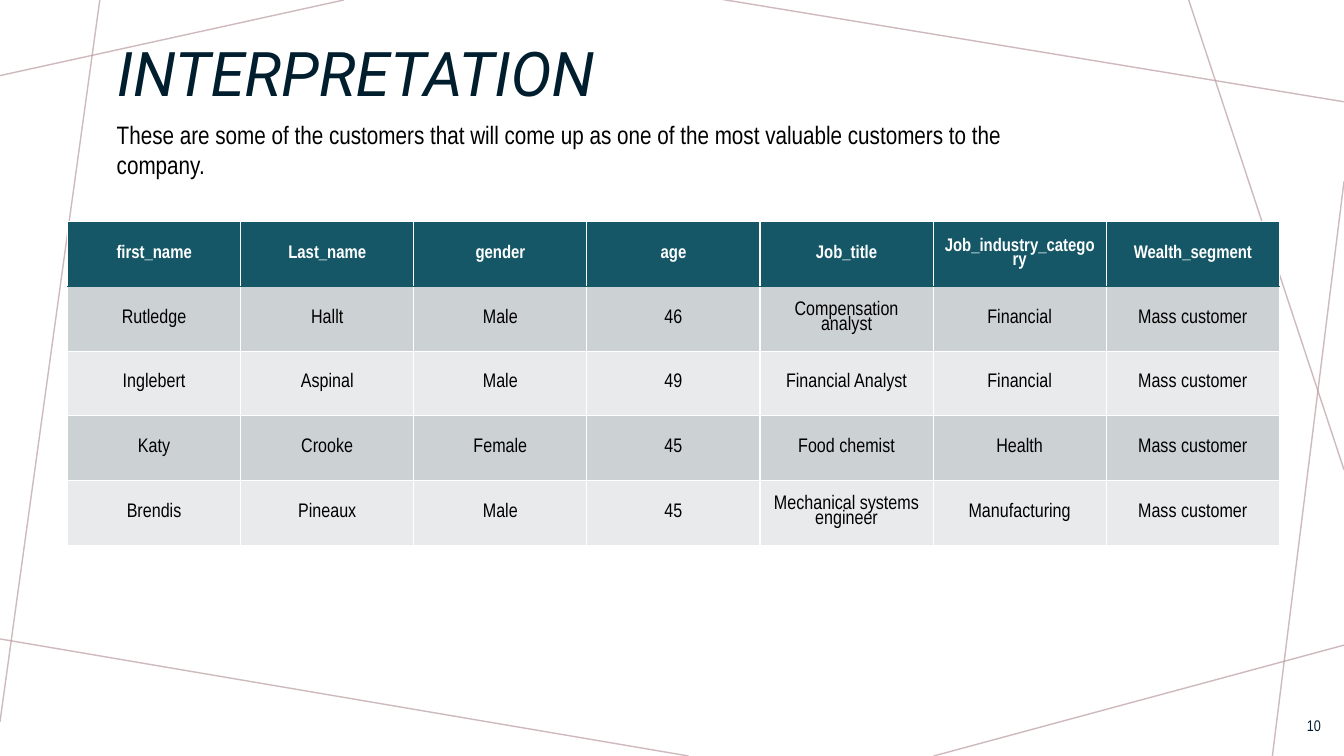
import pptx
import pptx.util
import pptx.dml.color
import pptx.enum.shapes
import pptx.enum.text
import pptx.oxml.ns
import lxml.etree

Inches = pptx.util.Inches
Pt = pptx.util.Pt
RGBColor = pptx.dml.color.RGBColor
ALIGN = pptx.enum.text.PP_ALIGN
ANCHOR = pptx.enum.text.MSO_ANCHOR
qn = pptx.oxml.ns.qn

NAVY = RGBColor(0x00, 0x1E, 0x2E)
TEAL = RGBColor(0x15, 0x57, 0x67)
MAUVE = RGBColor(0xBA, 0x9C, 0xA0)
DARK_BAND = RGBColor(0xCC, 0xD1, 0xD3)
LIGHT_BAND = RGBColor(0xE8, 0xEA, 0xEB)
WHITE = RGBColor(0xFF, 0xFF, 0xFF)
BLACK = RGBColor(0x00, 0x00, 0x00)


def write(frame, text, size, color, font="Arial Narrow", align=ALIGN.LEFT):
    frame.word_wrap = True
    para = frame.paragraphs[0]
    para.alignment = align
    span = para.add_run()
    span.text = text
    span.font.size = Pt(size)
    span.font.name = font
    span.font.color.rgb = color
    return para, span


def add_border(cell, side, color, width):
    props = cell._tc.get_or_add_tcPr()
    line = lxml.etree.SubElement(props, qn("a:" + side), w=str(Pt(width)))
    fill = lxml.etree.SubElement(line, qn("a:solidFill"))
    lxml.etree.SubElement(fill, qn("a:srgbClr"), val=str(color))


deck = pptx.Presentation()
deck.slide_width = Inches(13.33)
deck.slide_height = Inches(7.5)
page = deck.slides.add_slide(deck.slide_layouts[5])

background_lines = [
    (3.41, 0, 0, 0.75),
    (0.99, 0, 0, 7.16),
    (6.83, 7.5, -0.05, 6.33),
    (13.33, 6.4, 9.26, 7.5),
    (13.33, 1.8, 12.62, 7.5),
    (13.33, 4.66, 11.79, 0),
    (13.33, 1.01, 7.14, -0.01),
]
for ends in background_lines:
    line = page.shapes.add_connector(
        pptx.enum.shapes.MSO_CONNECTOR.STRAIGHT, *[Inches(value) for value in ends])
    line.line.color.rgb = MAUVE
    line.line.width = Pt(1)
    color = line.element.spPr.find(".//" + qn("a:srgbClr"))
    lxml.etree.SubElement(color, qn("a:alpha"), val="70000")
    lxml.etree.SubElement(line.element.spPr, qn("a:effectLst"))

title = page.shapes.title
page.shapes.element.append(title.element)
title.left, title.top = Inches(1.06), Inches(0)
title.width, title.height = Inches(5.73), Inches(1.51)
title.text_frame.auto_size = pptx.enum.text.MSO_AUTO_SIZE.NONE
title.text_frame.vertical_anchor = ANCHOR.MIDDLE
para, span = write(title.text_frame, "INTERPRETATION", 44, NAVY, "Roboto")
para.line_spacing = 0.9
span.font.italic = True

customers = [
    ["first_name", "Last_name", "gender", "age", "Job_title",
     "Job_industry_category", "Wealth_segment"],
    ["Rutledge", "Hallt", "Male", "46", "Compensation analyst",
     "Financial", "Mass customer"],
    ["Inglebert", "Aspinal", "Male", "49", "Financial Analyst",
     "Financial", "Mass customer"],
    ["Katy", "Crooke", "Female", "45", "Food chemist",
     "Health", "Mass customer"],
    ["Brendis", "Pineaux", "Male", "45", "Mechanical systems engineer",
     "Manufacturing", "Mass customer"],
]
table = page.shapes.add_table(
    len(customers), len(customers[0]),
    Inches(0.67), Inches(2.2), Inches(12.02), Inches(3.21)).table
for row, values in enumerate(customers):
    header = row == 0
    band = TEAL if header else DARK_BAND if row % 2 else LIGHT_BAND
    for column, value in enumerate(values):
        cell = table.cell(row, column)
        cell.vertical_anchor = ANCHOR.MIDDLE
        para, span = write(cell.text_frame, value, 13 if header else 14,
                           WHITE if header else BLACK, align=ALIGN.CENTER)
        para.line_spacing = 0.8
        span.font.bold = header
        add_border(cell, "lnL", WHITE, 1)
        add_border(cell, "lnR", WHITE, 1)
        add_border(cell, "lnT", *((TEAL, 0.75) if row == 1 else (WHITE, 1)))
        add_border(cell, "lnB", *((TEAL, 0.75) if header else (WHITE, 1)))
        cell.fill.solid()
        cell.fill.fore_color.rgb = band

number = page.shapes.add_textbox(Inches(12.69), Inches(7), Inches(0.51), Inches(0.4))
number.text_frame.vertical_anchor = ANCHOR.MIDDLE
write(number.text_frame, "10", 11, NAVY, align=ALIGN.RIGHT)

intro = page.shapes.add_textbox(Inches(1.06), Inches(1.13), Inches(9.73), Inches(0.71))
intro.text_frame.auto_size = pptx.enum.text.MSO_AUTO_SIZE.SHAPE_TO_FIT_TEXT
write(intro.text_frame,
      "These are some of the customers that will come up as one of the most "
      "valuable customers to the company.", 18, BLACK)

deck.save("out.pptx")
